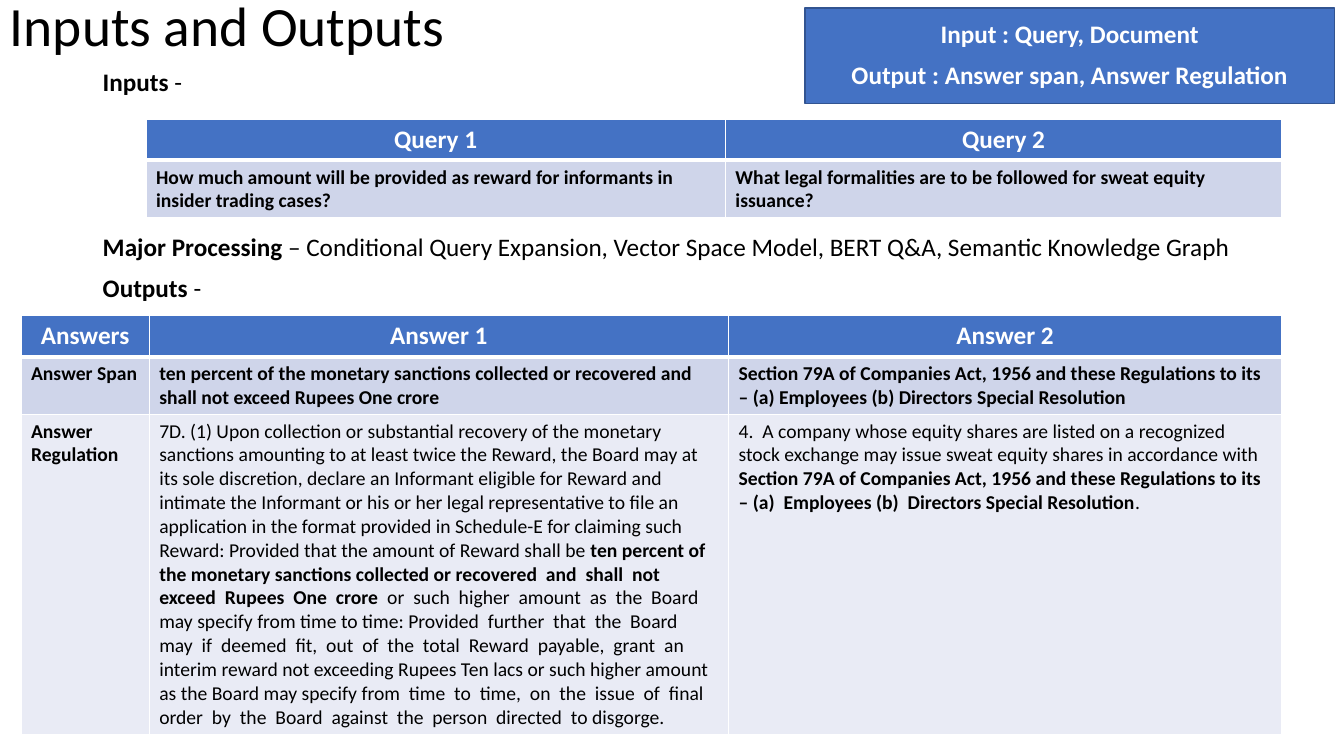
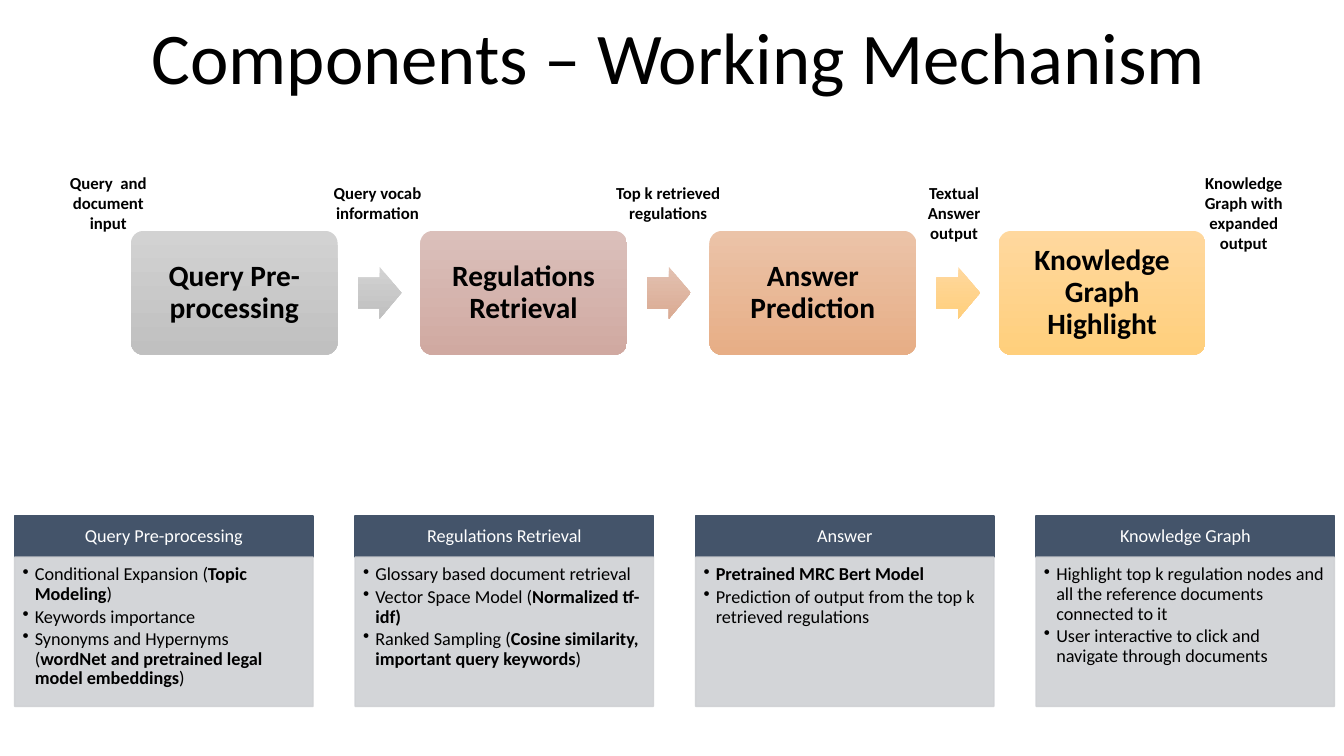
"""Build two slides on the inputs, outputs and components of a legal question answering system."""
from dataclasses import dataclass, replace

from lxml import etree
from pptx import Presentation
from pptx import util as u
from pptx.dml.color import RGBColor
from pptx.enum import shapes, text
from pptx.oxml import ns

FONT = "Calibri"
BLACK, WHITE = "000000", "FFFFFF"
BLUE, NAVY_EDGE, BAND, PALE = "4472C4", "325491", "CFD5EA", "E9EBF5"
SLATE, SILVER = "44546A", "CFD1D4"
LEFT, CENTER = text.PP_ALIGN.LEFT, text.PP_ALIGN.CENTER
TOP, MIDDLE = text.MSO_ANCHOR.TOP, text.MSO_ANCHOR.MIDDLE


@dataclass(frozen=True)
class Box:
    left: float
    top: float
    width: float
    height: float

    def emu(self) -> list:
        return [u.Cm(v) for v in (self.left, self.top, self.width, self.height)]


@dataclass(frozen=True)
class Style:
    size: float
    color: str = BLACK
    bold: bool = False
    align: int = LEFT
    anchor: int = TOP
    spacing: float = 0.9
    before: float = 0
    after: float = 0
    bullet: bool = False
    insets: tuple = (0.25, 0.13, 0.25, 0.13)


@dataclass(frozen=True)
class Step:
    name: str
    gradient: tuple
    arrow: tuple = ()


@dataclass(frozen=True)
class Card:
    heading: str
    points: tuple


@dataclass(frozen=True)
class Label:
    words: str
    box: Box


TITLE = Style(39.6, anchor=MIDDLE)
BODY = Style(18, before=10)
BANNER = Style(18, WHITE, True, CENTER, MIDDLE, before=10)
HEAD_CELL = Style(18, WHITE, True, CENTER, spacing=1)
CELL = Style(14, spacing=1)
STEP = Style(21, bold=True, align=CENTER, anchor=MIDDLE, insets=(0.23,) * 4)
LABEL = Style(12, bold=True, align=CENTER, spacing=1)
CARD_HEAD = Style(13, WHITE, align=CENTER, anchor=MIDDLE, insets=(0.25, 0.15, 0.25, 0.15))
CARD_BODY = Style(13, after=2, bullet=True, insets=(0.2, 0.2, 0.25, 0.28))

QUERIES = (
    ("Query 1", "Query 2"),
    ("**How much amount will be provided as reward for informants in insider trading cases?**",
     "**What legal formalities are to be followed for sweat equity issuance?**"),
)
REWARD_RULE = (
    "7D. (1) Upon collection or substantial recovery of the monetary sanctions amounting to at "
    "least twice the Reward, the Board may at its sole discretion, declare an Informant eligible "
    "for Reward and intimate the Informant or his or her legal representative to file an "
    "application in the format provided in Schedule-E for claiming such Reward:",
    "Provided that the amount of Reward shall be **ten percent of the monetary sanctions "
    "collected or recovered  and  shall  not  exceed  Rupees  One  crore**  or  such  higher  "
    "amount  as  the  Board  may specify from time to time:",
    "Provided  further  that  the  Board  may  if  deemed  fit,  out  of  the  total  Reward  "
    "payable,  grant  an interim reward not exceeding Rupees Ten lacs or such higher amount as "
    "the Board may specify from  time  to  time,  on  the  issue  of  final  order  by  the  "
    "Board  against  the  person  directed  to disgorge.",
)
ANSWERS = (
    ("Answers", "Answer 1", "Answer 2"),
    ("**Answer Span**",
     "**ten percent of the monetary sanctions collected or recovered and shall not exceed "
     "Rupees One crore**",
     "**Section 79A of Companies Act, 1956 and these Regulations to its – (a) Employees "
     "(b) Directors Special Resolution**"),
    ("**Answer Regulation**",
     " ".join(REWARD_RULE),
     "4.  A company whose equity shares are listed on a recognized stock exchange may issue sweat "
     "equity shares in accordance with **Section 79A of Companies Act, 1956 and these Regulations "
     "to its  – (a)  Employees (b)  Directors Special Resolution**."),
)

GRAY, YELLOW = ("D2D2D2", "C0C0C0"), ("FFD89E", "FFCF7C")
STEPS = (
    Step("Query Pre-processing", GRAY, GRAY),
    Step("Regulations Retrieval", ("DBC0BB", "D0A9A1"), ("E2C1B1", "DBAB93")),
    Step("Answer Prediction", ("EBC3A8", "E7AE86"), YELLOW),
    Step("Knowledge Graph Highlight", YELLOW),
)
LABELS = (
    Label("Query vocab information", Box(7.7, 4.47, 3.63, 1.27)),
    Label("Top k retrieved regulations", Box(15.06, 4.47, 3.56, 1.27)),
    Label("Textual Answer output", Box(22.61, 4.47, 2.87, 1.8)),
    Label("Query  and document input", Box(1.27, 4.22, 2.92, 1.8)),
    Label("Knowledge Graph with expanded output", Box(29.59, 4.22, 3.51, 2.31)),
)
CARDS = (
    Card("Query Pre-processing", (
        "Conditional Expansion (**Topic Modeling**)",
        "Keywords importance",
        "Synonyms and Hypernyms (**wordNet and pretrained legal model embeddings**)")),
    Card("Regulations Retrieval", (
        "Glossary based document retrieval",
        "Vector Space Model (**Normalized tf-idf)**",
        "Ranked Sampling (**Cosine similarity, important query keywords**)")),
    Card("Answer", (
        "**Pretrained MRC Bert Model**",
        "Prediction of output from the top k retrieved regulations")),
    Card("Knowledge Graph", (
        "Highlight top k regulation nodes and all the reference documents connected to it",
        "User interactive to click and navigate through documents")),
)


def rgb(value: str) -> RGBColor:
    return RGBColor.from_string(value)


def child(parent, tag: str, **attrs):
    return etree.SubElement(parent, ns.qn(tag), attrs)


def write(tf, lines: tuple, style: Style) -> None:
    for i, line in enumerate(lines):
        p = tf.paragraphs[0] if i == 0 else tf.add_paragraph()
        p.alignment, p.line_spacing = style.align, style.spacing
        p.space_before, p.space_after = u.Pt(style.before), u.Pt(style.after)
        if style.bullet:
            pPr = p._p.get_or_add_pPr()
            pPr.set("marL", str(u.Cm(0.31)))
            pPr.set("indent", str(-u.Cm(0.31)))
            child(pPr, "a:buChar", char="•")
        p.font.name, p.font.size, p.font.bold = FONT, u.Pt(style.size), style.bold
        p.font.color.rgb = rgb(style.color)
        for k, part in enumerate(line.split("**")):
            if part:
                r = p.add_run()
                r.text = part
                if k % 2:
                    r.font.bold = True


def fill_frame(sp, lines: tuple, style: Style) -> None:
    tf = sp.text_frame
    tf.word_wrap, tf.vertical_anchor = True, style.anchor
    tf.margin_left, tf.margin_top, tf.margin_right, tf.margin_bottom = map(u.Cm, style.insets)
    write(tf, lines, style)


def add_text(s, box: Box, lines: tuple, style: Style) -> None:
    fill_frame(s.shapes.add_textbox(*box.emu()), lines, style)


def add_panel(s, box: Box, fill: str, line: str, lines: tuple, style: Style):
    sp = s.shapes.add_shape(shapes.MSO_SHAPE.RECTANGLE, *box.emu())
    sp.shadow.inherit = False
    sp.fill.solid()
    sp.fill.fore_color.rgb = rgb(fill)
    sp.line.color.rgb, sp.line.width = rgb(line), u.Pt(1)
    fill_frame(sp, lines, style)
    return sp


def add_gradient(s, kind: int, box: Box, colors: tuple, adjustment: float):
    sp = s.shapes.add_shape(kind, *box.emu())
    sp.shadow.inherit = False
    sp.adjustments[0] = adjustment
    sp.line.fill.background()
    sp.fill.gradient()
    sp.fill.gradient_angle = 270
    for stop, color in zip(sp.fill.gradient_stops, colors):
        stop.color.rgb = rgb(color)
    return sp


def set_borders(cell, row: int) -> None:
    tcPr = cell._tc.get_or_add_tcPr()
    widths = {"L": 1, "R": 1, "T": 3 if row == 1 else 1, "B": 3 if row == 0 else 1}
    for side, width in widths.items():
        ln = child(tcPr, f"a:ln{side}", w=str(u.Pt(width)))
        child(child(ln, "a:solidFill"), "a:srgbClr", val=WHITE)


def add_grid(s, left: float, top: float, widths: tuple, heights: tuple, rows: tuple) -> None:
    box = Box(left, top, sum(widths), sum(heights))
    table = s.shapes.add_table(len(rows), len(widths), *box.emu()).table
    for column, width in zip(table.columns, widths):
        column.width = u.Cm(width)
    for i, (row, height) in enumerate(zip(rows, heights)):
        table.rows[i].height = u.Cm(height)
        for j, words in enumerate(row):
            cell = table.cell(i, j)
            set_borders(cell, i)
            cell.fill.solid()
            cell.fill.fore_color.rgb = rgb((BLUE, BAND, PALE)[i])
            write(cell.text_frame, (words,), CELL if i else HEAD_CELL)


def build_inputs_outputs(s) -> None:
    add_text(s, Box(0, 0, 29.21, 1.45), ("Inputs and Outputs",), TITLE)
    add_text(s, Box(2.34, 1.63, 5, 1), ("**Inputs** -",), BODY)
    add_text(s, Box(2.34, 5.78, 29.21, 2), (
        "**Major Processing** – Conditional Query Expansion, Vector Space Model, BERT Q&A, "
        "Semantic Knowledge Graph",
        "**Outputs** -"), BODY)
    add_panel(s, Box(20.29, 0.2, 13.34, 2.41), BLUE, NAVY_EDGE,
              ("Input : Query, Document", "Output : Answer span, Answer Regulation"), BANNER)
    add_grid(s, 3.68, 3, (14.6, 14.02), (1.04, 1.45), QUERIES)
    add_grid(s, 0.53, 7.95, (3.23, 14.6, 13.94), (1.04, 1.45, 8.08), ANSWERS)


def build_components(s) -> None:
    add_text(s, Box(2.49, -0.03, 29.21, 3.15), ("Components – Working Mechanism",),
             replace(TITLE, size=52, align=CENTER))
    for i, card in enumerate(CARDS):
        left = 0.37 + 8.58 * i
        add_panel(s, Box(left, 13, 7.52, 1.04), SLATE, SLATE, (card.heading,), CARD_HEAD)
        sp = add_panel(s, Box(left, 14.04, 7.52, 3.76), SILVER, SILVER, card.points, CARD_BODY)
        for color in sp._element.spPr.iter(ns.qn("a:srgbClr")):
            child(color, "a:alpha", val="90000")
    for i, step in enumerate(STEPS):
        left = 3.3 + 7.29 * i
        sp = add_gradient(s, shapes.MSO_SHAPE.ROUNDED_RECTANGLE,
                          Box(left, 5.82, 5.21, 3.12), step.gradient, 0.1)
        fill_frame(sp, (step.name,), STEP)
        if step.arrow:
            add_gradient(s, shapes.MSO_SHAPE.RIGHT_ARROW,
                         Box(left + 5.72, 6.73, 1.1, 1.3), step.arrow, 0.6)
    for label in LABELS:
        add_text(s, label.box, (label.words,), LABEL)


def main() -> None:
    prs = Presentation()
    prs.slide_width, prs.slide_height = u.Cm(33.87), u.Cm(19.05)
    for build in (build_inputs_outputs, build_components):
        build(prs.slides.add_slide(prs.slide_layouts[6]))
    prs.save("out.pptx")


if __name__ == "__main__":
    main()
